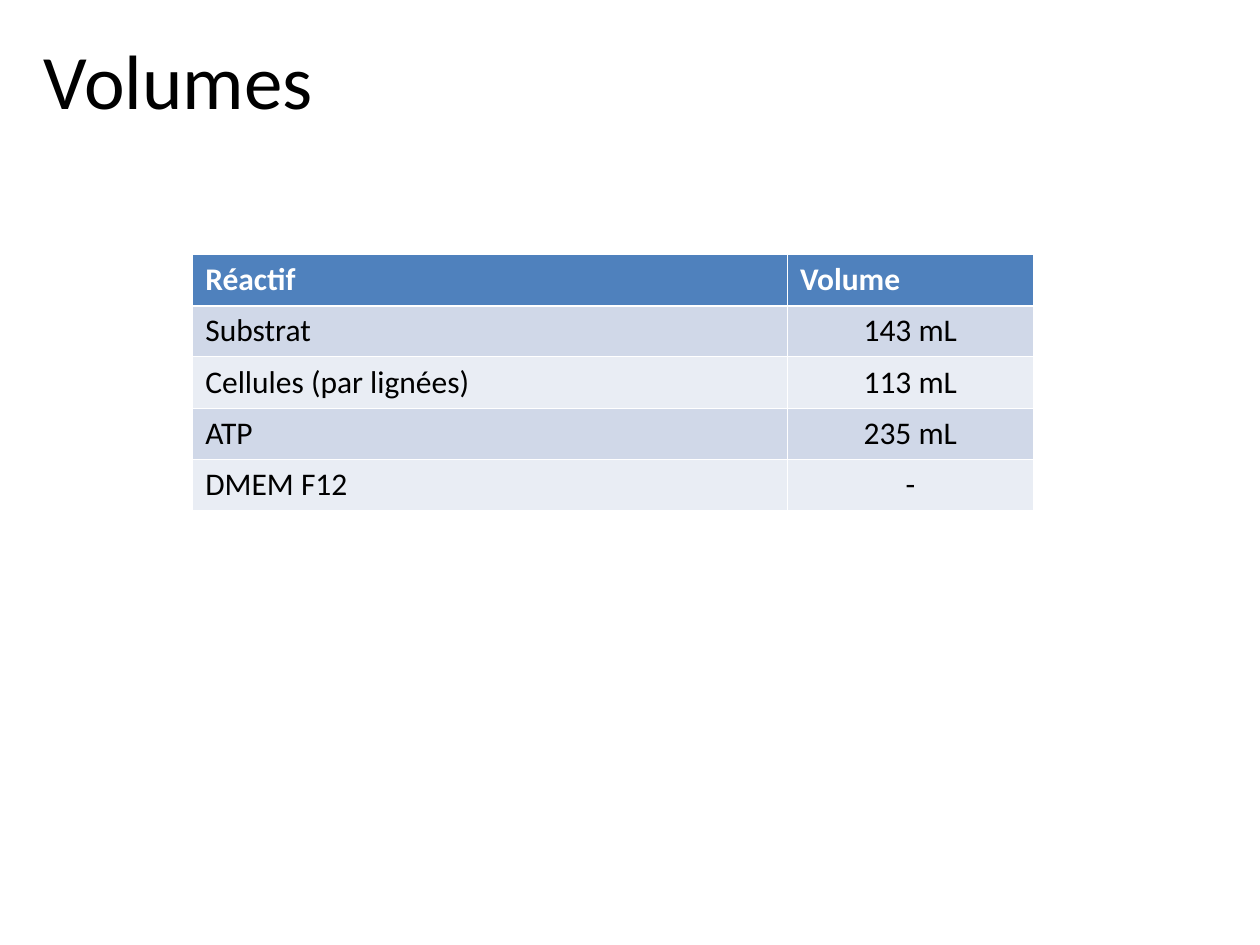
from lxml import etree
from pptx import Presentation
from pptx.dml.color import RGBColor
from pptx.enum import text as t
from pptx.oxml import ns
from pptx.util import Inches, Pt

FONT = "Calibri"
WHITE, BLACK, BLUE = "FFFFFF", "000000", "4F81BD"
BANDS = ["D0D8E8", "E9EDF4"]
THIN, THICK = 0.45, 1.47
ROWS = [
    ("Réactif", "Volume"),
    ("Substrat", "143 mL"),
    ("Cellules (par lignées)", "113 mL"),
    ("ATP", "235 mL"),
    ("DMEM F12", "-"),
]


def color(code):
    return RGBColor.from_string(code)


def write(frame, words, size, ink, bold=False, align=t.PP_ALIGN.LEFT):
    para = frame.paragraphs[0]
    para.alignment = align
    run = para.add_run()
    run.text = words
    run.font.name = FONT
    run.font.size = Pt(size)
    run.font.bold = bold
    run.font.color.rgb = color(ink)


def edge(cell, side, width):
    # Cell lines must stand before the cell fill
    props = cell._tc.get_or_add_tcPr()
    line = etree.SubElement(props, ns.qn("a:ln" + side), w=str(Pt(width)))
    fill = etree.SubElement(line, ns.qn("a:solidFill"))
    etree.SubElement(fill, ns.qn("a:srgbClr"), val=WHITE)


def title(slide, x, y, w, h):
    box = slide.shapes.add_textbox(Inches(x), Inches(y), Inches(w), Inches(h))
    frame = box.text_frame
    frame.word_wrap = True
    frame.vertical_anchor = t.MSO_ANCHOR.MIDDLE
    write(frame, "Volumes", 44, BLACK)


def volumes(slide, x, y, w, h):
    table = slide.shapes.add_table(len(ROWS), 2, Inches(x), Inches(y),
                                   Inches(w), Inches(h)).table
    first = 4.72
    for col, width in zip(table.columns, (first, w - first)):
        col.width = Inches(width)
    for i, row in enumerate(ROWS):
        head = i == 0
        for j, words in enumerate(row):
            cell = table.cell(i, j)
            # White rules, thicker under the header
            for side in "LRTB":
                thick = (i, side) in ((0, "B"), (1, "T"))
                edge(cell, side, THICK if thick else THIN)
            cell.fill.solid()
            cell.fill.fore_color.rgb = color(BLUE if head else BANDS[(i - 1) % 2])
            mid = j == 1 and not head
            write(cell.text_frame, words, 18, WHITE if head else BLACK, head,
                  t.PP_ALIGN.CENTER if mid else t.PP_ALIGN.LEFT)


def main():
    deck = Presentation()
    deck.slide_width, deck.slide_height = Inches(10), Inches(7.5)
    slide = deck.slides.add_slide(deck.slide_layouts[6])
    title(slide, 0.25, 0, 9, 1.25)
    volumes(slide, 1.53, 2.02, 6.67, 2.03)
    deck.save("out.pptx")


if __name__ == "__main__":
    main()
